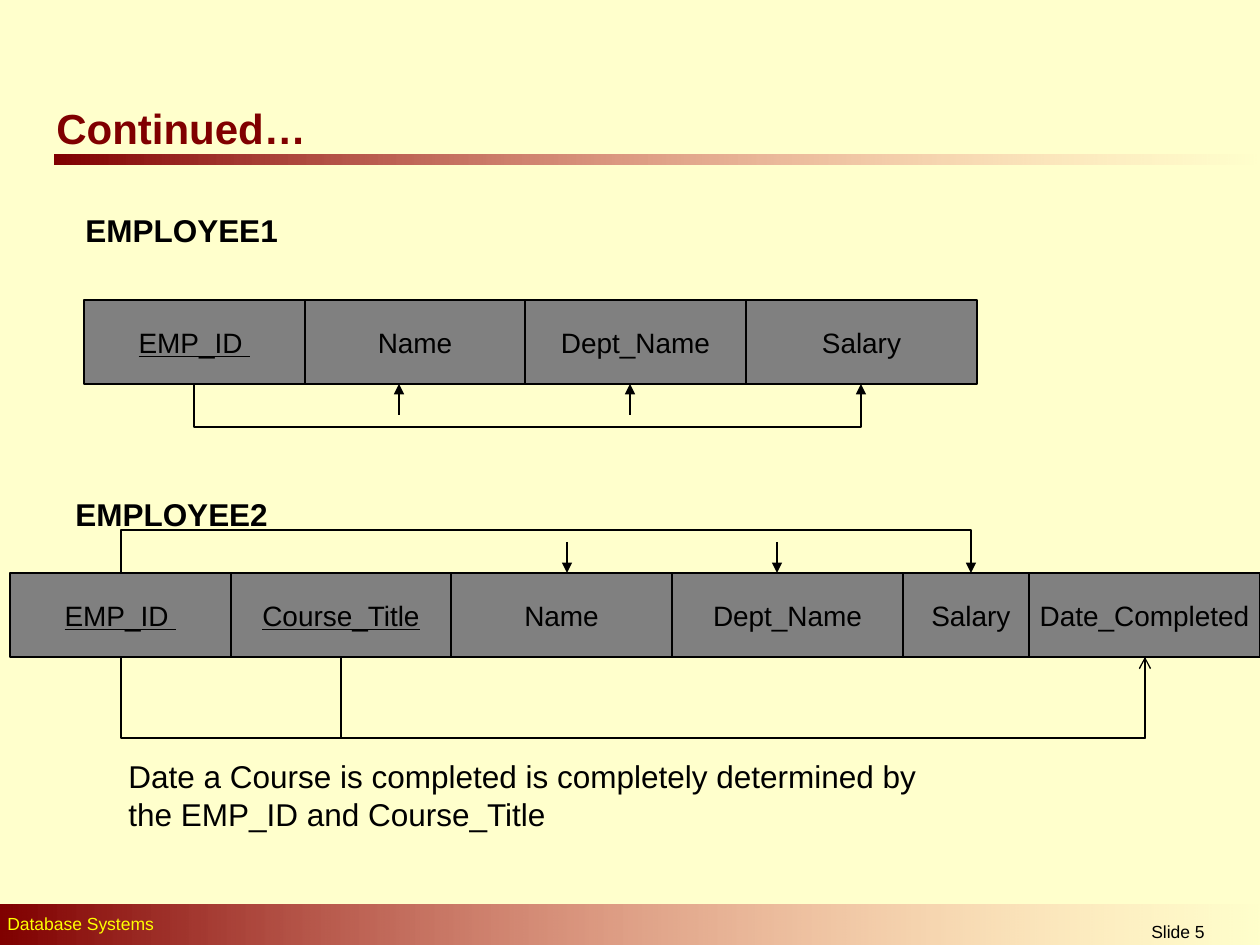
from lxml.etree import SubElement
from pptx import Presentation
from pptx.dml.color import RGBColor
from pptx.enum.shapes import MSO_CONNECTOR, MSO_SHAPE
from pptx.enum.text import MSO_ANCHOR, PP_ALIGN
from pptx.oxml.ns import qn
from pptx.util import Emu, Pt

SCALE = 914400 / 126
COLORS = {
    "page": "FFFFCC", "maroon": "800000", "pink": "FF8585",
    "cell": "808080", "ink": "000000", "yellow": "FFFF00",
}
ROW_H = 84
TOP1, TOP2 = 300, 573
ROW1 = [("EMP_ID ", 84, 221, True), ("Name", 305, 220, False),
        ("Dept_Name", 525, 221, False), ("Salary", 746, 231, False)]
ROW2 = [("EMP_ID ", 10, 221, True), ("Course_Title", 231, 220, True),
        ("Name", 451, 221, False), ("Dept_Name", 672, 231, False),
        ("Salary", 903, 136, False), ("Date_Completed", 1029, 231, False)]


def px(n):
    return Emu(round(n * SCALE))


def color(name):
    return RGBColor.from_string(COLORS[name])


def style(para, size, ink="ink", bold=False, under=False):
    font = para.font
    font.name, font.size, font.bold = "Arial", Pt(size), bold
    font.underline = under
    font.color.rgb = color(ink)


def add_text(slide, text, box, size, ink="ink", bold=False, before=0,
             align=PP_ALIGN.LEFT, anchor=MSO_ANCHOR.TOP):
    frame = slide.shapes.add_textbox(*map(px, box)).text_frame
    frame.word_wrap = True
    frame.vertical_anchor = anchor
    para = frame.paragraphs[0]
    para.text, para.alignment = text, align
    para.space_before = Pt(before)
    style(para, size, ink, bold)


def add_bar(slide, box):
    """Add a band that fades out to the right."""
    bar = slide.shapes.add_shape(MSO_SHAPE.RECTANGLE, *map(px, box))
    bar.shadow.inherit = False
    bar.line.fill.background()
    bar.fill.gradient()
    bar.fill.gradient_angle = 0
    for stop, name, pos in zip(bar.fill.gradient_stops, ("maroon", "pink"), (0, 1)):
        stop.color.rgb = color(name)
        stop.position = pos
    last = list(bar._element.spPr.iter(qn("a:srgbClr")))[-1]
    SubElement(last, qn("a:alpha")).set("val", "0")


def add_row(slide, cells, top):
    for text, left, width, key in cells:
        cell = slide.shapes.add_shape(
            MSO_SHAPE.RECTANGLE, *map(px, (left, top, width, ROW_H)))
        cell.shadow.inherit = False
        cell.fill.solid()
        cell.fill.fore_color.rgb = color("cell")
        set_line(cell)
        frame = cell.text_frame
        frame.word_wrap = False
        frame.vertical_anchor = MSO_ANCHOR.MIDDLE
        para = frame.paragraphs[0]
        para.text, para.alignment = text, PP_ALIGN.CENTER
        style(para, 16, under=key)


def set_line(shape, head=None):
    shape.line.color.rgb = color("ink")
    shape.line.width = Pt(0.75)
    if head:
        SubElement(shape.line._get_or_add_ln(), qn("a:tailEnd")).set("type", head)


def add_arrow(slide, x, start, end):
    arrow = slide.shapes.add_connector(
        MSO_CONNECTOR.STRAIGHT, px(x), px(start), px(x), px(end))
    set_line(arrow, "triangle")
    SubElement(arrow._element.spPr, qn("a:effectLst"))


def add_path(slide, start, end, edge, bend, head=None):
    """Run from one cell edge out to the bend and back to another cell."""
    build = slide.shapes.build_freeform(px(start), px(edge))
    build.add_line_segments(
        [(px(start), px(bend)), (px(end), px(bend)), (px(end), px(edge))],
        close=False)
    path = build.convert_to_shape()
    path.shadow.inherit = False
    path.fill.background()
    set_line(path, head)


def main():
    deck = Presentation()
    deck.slide_width, deck.slide_height = px(1260), px(945)
    slide = deck.slides.add_slide(deck.slide_layouts[6])
    slide.background.fill.solid()
    slide.background.fill.fore_color.rgb = color("page")

    add_bar(slide, (54, 155, 1206, 10))
    add_bar(slide, (0, 905, 1264, 44))
    add_text(slide, "Database Systems", (-5, 907, 814, 34), 10, "yellow", before=6.2)
    add_text(slide, "Slide 5", (1047, 915, 262, 30), 10, align=PP_ALIGN.CENTER)
    add_text(slide, "Continued…", (44, 96, 312, 64), 24, "maroon", True,
             anchor=MSO_ANCHOR.MIDDLE)
    add_text(slide, "Date a Course is completed is completely determined by "
             "the EMP_ID and Course_Title", (116, 751, 850, 88), 18, before=11.2)
    add_text(slide, "EMPLOYEE1", (73, 205, 378, 50), 18, bold=True, before=11.2)
    add_text(slide, "EMPLOYEE2", (63, 489, 378, 50), 18, bold=True, before=11.2)

    add_row(slide, ROW1, TOP1)
    add_row(slide, ROW2, TOP2)

    base1, base2 = TOP1 + ROW_H, TOP2 + ROW_H
    add_path(slide, 194, 861, base1, 427, "triangle")
    add_path(slide, 121, 971, TOP2, 530, "triangle")
    add_path(slide, 121, 1145, base2, 738)
    add_path(slide, 341, 1145, base2, 738, "arrow")
    for x in (399, 630):
        add_arrow(slide, x, base1 + 31, base1)
    for x in (567, 777):
        add_arrow(slide, x, TOP2 - 31, TOP2)
    deck.save("out.pptx")


if __name__ == "__main__":
    main()
